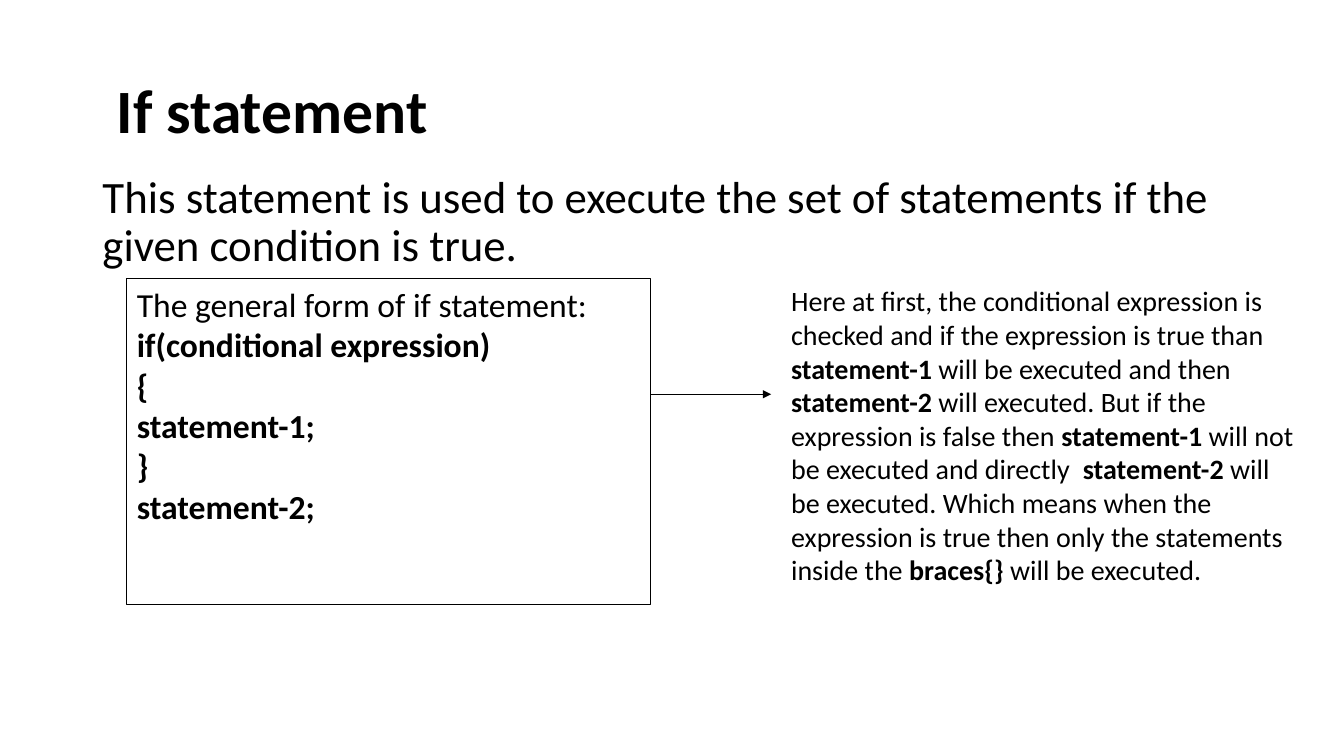
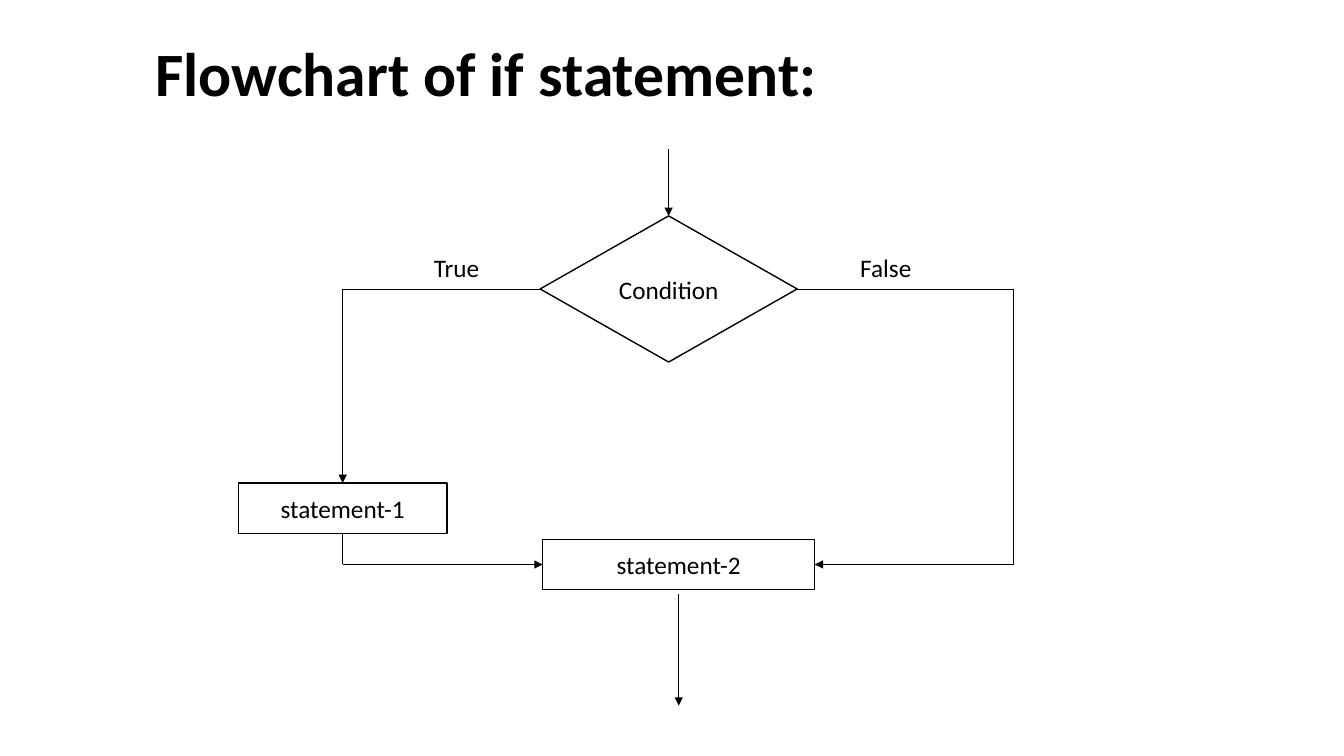
from collections import namedtuple
from itertools import pairwise
from lxml.etree import SubElement
from pptx import Presentation
from pptx.dml.color import RGBColor
from pptx.enum.shapes import MSO_CONNECTOR, MSO_SHAPE
from pptx.enum.text import MSO_ANCHOR, MSO_AUTO_SIZE, PP_ALIGN
from pptx.oxml.ns import qn
from pptx.util import Inches, Pt

# Shared look: a grid of 160 columns by 90 rows on a 16:9 slide
HUES = {"ink": "000000", "paper": "FFFFFF"}
FACE = "Calibri"
WIDE, HIGH = Inches(13.33), Inches(7.5)
COLS, ROWS = 160, 90
HEAD = {"size": Pt(44), "bold": True}
LEAD = {"size": Pt(32)}
CODE = {"size": Pt(24)}
NOTE = {"size": Pt(20)}
STEP = {"size": Pt(18)}
LEFT = {"alignment": PP_ALIGN.LEFT}
TIGHT = {**LEFT, "line_spacing": 0.9}
MID = {"alignment": PP_ALIGN.CENTER}

Box = namedtuple("Box", "x y w h")


def across(n):
    return round(WIDE * n / COLS)


def down(n):
    return round(HIGH * n / ROWS)


def within(box, x, y, w, h):
    return Box(box.x + x, box.y + y, w, h)


def spot(box):
    return across(box.x), down(box.y), across(box.w), down(box.h)


def hue(name):
    return RGBColor.from_string(HUES[name])


def apply(item, form):
    for key, value in form.items():
        setattr(item, key, value)


def write(shape, paras, font, para=LEFT, anchor=MSO_ANCHOR.TOP, inset=0.1):
    """Fill a shape with paragraphs, each a list of (text, bold) runs."""
    frame = shape.text_frame
    apply(frame, {"word_wrap": True, "auto_size": MSO_AUTO_SIZE.NONE,
                  "vertical_anchor": anchor, "margin_left": Inches(inset),
                  "margin_right": Inches(0.1), "margin_top": Inches(0.05),
                  "margin_bottom": Inches(0.05)})
    for i, runs in enumerate(paras):
        line = frame.paragraphs[0] if i == 0 else frame.add_paragraph()
        apply(line, para)
        for text, bold in runs:
            run = line.add_run()
            run.text = text
            apply(run.font, {"name": FACE, "bold": bold, **font})
            run.font.color.rgb = hue("ink")


def place(holder, box):
    apply(holder, dict(zip(("left", "top", "width", "height"), spot(box))))


def title(slide, box, text, inset=0.1):
    place(slide.shapes.title, box)
    write(slide.shapes.title, [[(text, True)]], HEAD, TIGHT,
          MSO_ANCHOR.MIDDLE, inset)


def lead(slide, box, text):
    body = slide.placeholders[1]
    place(body, box)
    write(body, [[(text, False)]], LEAD, {**TIGHT, "space_before": Pt(10)})
    props = body.text_frame.paragraphs[0]._p.get_or_add_pPr()
    props.set("marL", "0")
    props.set("indent", "0")
    SubElement(props, qn("a:buNone"))


def label(slide, box, paras, font, inset=0.1):
    write(slide.shapes.add_textbox(*spot(box)), paras, font, inset=inset)


def panel(slide, kind, box, width, fill=None):
    shape = slide.shapes.add_shape(kind, *spot(box))
    shape.shadow.inherit = False
    if fill:
        shape.fill.solid()
        shape.fill.fore_color.rgb = hue(fill)
    else:
        shape.fill.background()
    shape.line.color.rgb = hue("ink")
    shape.line.width = Pt(width)
    return shape


def node(slide, kind, box, text):
    shape = panel(slide, kind, box, 1, "paper")
    write(shape, [[(text, False)]], STEP, MID, MSO_ANCHOR.MIDDLE)


def route(slide, points, arrow=True):
    """Join points with straight lines; the last one may end in an arrow."""
    for start, end in pairwise(points):
        link = slide.shapes.add_connector(
            MSO_CONNECTOR.STRAIGHT, across(start[0]), down(start[1]),
            across(end[0]), down(end[1]))
        link.line.color.rgb = hue("ink")
        link.line.width = Pt(0.5)
        props = link._element.spPr
        if arrow and end == points[-1]:
            SubElement(props.find(qn("a:ln")), qn("a:tailEnd"),
                       type="triangle")
        SubElement(props, qn("a:effectLst"))


def form(slide, box):
    """Code panel on the left, arrow, explanation on the right."""
    code = within(box, 0, 0, 62.4, 38.8)
    lines = ["if(conditional expression)", "{", "statement-1;", "}",
             "statement-2;"]
    write(panel(slide, MSO_SHAPE.RECTANGLE, code, 0.75),
          [[("The general form of if statement:", False)]]
          + [[(line, True)] for line in lines], CODE)
    note = within(box, 77.9, 0, 63, box.h)
    label(slide, note, [[
        ("Here at first, the conditional expression is checked and if the "
         "expression is true than ", False),
        ("statement-1", True),
        (" will be executed and then ", False),
        ("statement-2", True),
        (" will executed. But if the expression is false then ", False),
        ("statement-1", True),
        (" will not be executed and directly  ", False),
        ("statement-2", True),
        (" will be executed. Which means when the expression is true then "
         "only the statements inside the ", False),
        ("braces{}", True),
        (" will be executed.", False)]], NOTE)
    level = box.y + box.h / 3
    route(slide, [(code.x + code.w, level), (note.x - 1.2, level)])


def flow(slide, box):
    """Decision with a true branch on the left and a false one on the right."""
    test = within(box, 35.9, 7.9, 30.6, 17.4)
    one = within(box, 0, 39.7, 24.8, 6)
    two = within(box, 36.2, 46.4, 32.4, 6)
    axis, left, exit = (b.x + b.w / 2 for b in (test, one, two))
    fork, join = (b.y + b.h / 2 for b in (test, two))
    right, foot = box.x + box.w, box.y + box.h

    # Lines
    route(slide, [(axis, box.y), (axis, test.y)])
    route(slide, [(test.x, fork), (left, fork), (left, one.y)])
    route(slide, [(left, one.y + one.h), (left, join), (two.x, join)])
    route(slide, [(test.x + test.w, fork), (right, fork), (right, join),
                  (two.x + two.w, join)])
    route(slide, [(exit, two.y + two.h + 0.5), (exit, foot)])

    # Nodes and branch names
    node(slide, MSO_SHAPE.FLOWCHART_DECISION, test, "Condition")
    node(slide, MSO_SHAPE.FLOWCHART_PROCESS, one, "statement-1")
    node(slide, MSO_SHAPE.FLOWCHART_PROCESS, two, "statement-2")
    label(slide, within(box, 18.8, 11.6, 15.6, 4.8),
          [[("True", False)]], STEP, 0.37)
    label(slide, within(box, 66.8, 11.6, 23.5, 4.8),
          [[("False", False)]], STEP, 0.6)


deck = Presentation()
deck.slide_width, deck.slide_height = WIDE, HIGH

# Statement slide
slide = deck.slides.add_slide(deck.slide_layouts[1])
title(slide, Box(11, 4.8, 138, 17.4), "If statement", 0.24)
lead(slide, Box(11, 20.2, 138, 65), "This statement is used to execute the "
     "set of statements if the given condition is true.")
form(slide, Box(15.1, 33.2, 140.9, 41.2))

# Flowchart slide
slide = deck.slides.add_slide(deck.slide_layouts[5])
title(slide, Box(17.3, 0.4, 138, 17.4), "Flowchart of if statement:")
flow(slide, Box(28.4, 17.8, 92.3, 66.2))

deck.save("out.pptx")
